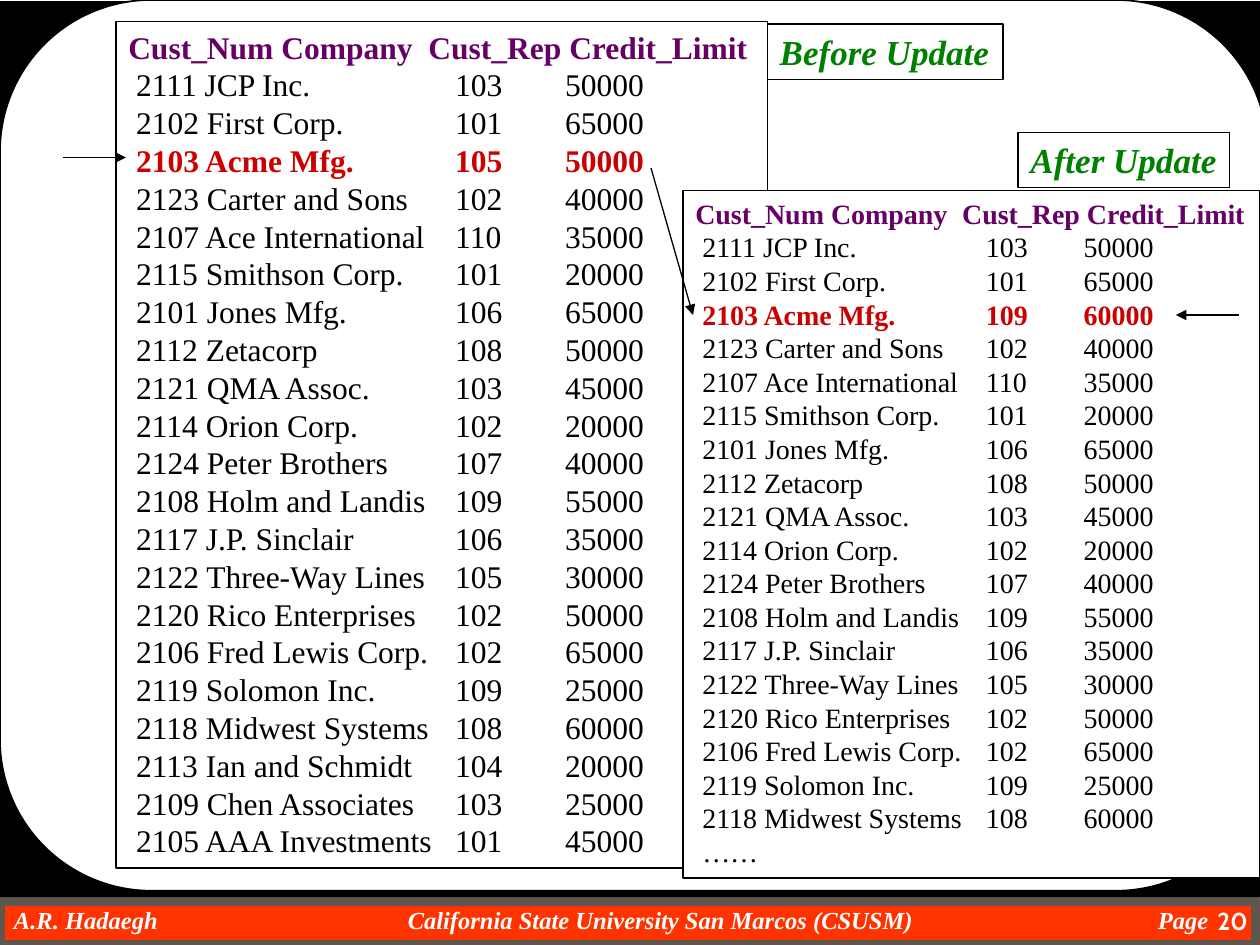
from dataclasses import dataclass

from lxml import etree
from pptx import Presentation
from pptx.dml.color import RGBColor
from pptx.enum.shapes import MSO_CONNECTOR, MSO_SHAPE
from pptx.enum.text import MSO_ANCHOR, PP_ALIGN
from pptx.oxml.ns import qn
from pptx.util import Pt

RECTANGLE = MSO_SHAPE.RECTANGLE
ROUNDED = MSO_SHAPE.ROUNDED_RECTANGLE
STRAIGHT = MSO_CONNECTOR.STRAIGHT
LEFT, RIGHT = PP_ALIGN.LEFT, PP_ALIGN.RIGHT
TOP, MIDDLE = MSO_ANCHOR.TOP, MSO_ANCHOR.MIDDLE


@dataclass(frozen=True)
class Theme:
    black: str = "000000"
    white: str = "FFFFFF"
    footer: str = "FF3300"
    footer_edge: str = "5E574E"
    header: str = "660066"
    changed: str = "CC0000"
    label: str = "008000"
    font: str = "Times New Roman"
    number_font: str = "Cabin"
    footer_size: int = 14
    label_size: int = 20
    before_size: int = 18
    after_size: int = 16


theme = Theme()


def add_box(kind, left, top, width, height, fill, line=None, line_width=0.75):
    shape = slide.shapes.add_shape(kind, Pt(left), Pt(top), Pt(width), Pt(height))
    shape.shadow.inherit = False
    shape.fill.solid()
    shape.fill.fore_color.rgb = RGBColor.from_string(fill)
    if line:
        shape.line.color.rgb = RGBColor.from_string(line)
        shape.line.width = Pt(line_width)
    else:
        shape.line.fill.background()
    return shape


def write(frame, text, size, color, font=theme.font, bold=False, italic=False,
          align=LEFT, anchor=TOP, wrap=True, tabs=(), line_spacing=None):
    """Add a paragraph to the frame, filling the first one if it is empty."""
    frame.word_wrap = wrap
    frame.vertical_anchor = anchor
    paragraph = frame.paragraphs[0] if not frame.text else frame.add_paragraph()
    if tabs:
        tab_list = etree.SubElement(paragraph._p.get_or_add_pPr(), qn("a:tabLst"))
        for position in tabs:
            etree.SubElement(tab_list, qn("a:tab"), pos=str(int(Pt(position))), algn="l")
    paragraph.alignment = align
    if line_spacing:
        paragraph.line_spacing = Pt(line_spacing)
    run = paragraph.add_run()
    run.text = text
    run.font.name = font
    run.font.size = Pt(size)
    run.font.bold = bold
    run.font.italic = italic
    run.font.color.rgb = RGBColor.from_string(color)


presentation = Presentation()
presentation.slide_width, presentation.slide_height = Pt(720), Pt(540)
slide = presentation.slides.add_slide(presentation.slide_layouts[6])

# Footer bar
add_box(RECTANGLE, 0, 514.8, 717.84, 25.2, theme.footer, theme.footer_edge, 6)
footer = slide.shapes.add_textbox(Pt(0), Pt(516.96), Pt(696.96), Pt(16.56)).text_frame
footer.margin_left = Pt(8)
footer.margin_top = footer.margin_right = footer.margin_bottom = 0
write(footer, "A.R. Hadaegh\tCalifornia State University San Marcos (CSUSM)\tPage",
      theme.footer_size, theme.white, bold=True, italic=True, tabs=(225, 653.7))

# Black backdrop with a rounded white panel
add_box(RECTANGLE, 0, 0.72, 720, 511.92, theme.black)
panel = add_box(ROUNDED, 0, 0, 724.32, 509.04, theme.white, theme.black, 1)
panel.adjustments[0] = 0.17

# Page number
number = slide.shapes.add_textbox(Pt(666), Pt(512.64), Pt(54), Pt(27.36)).text_frame
write(number, "20", theme.footer_size, theme.white, font=theme.number_font,
      bold=True, align=RIGHT, anchor=MIDDLE)

# Customer listings before and after the update
before_rows = [
    (2111, "JCP Inc.", 103, 50000),
    (2102, "First Corp.", 101, 65000),
    (2103, "Acme Mfg.", 105, 50000),
    (2123, "Carter and Sons", 102, 40000),
    (2107, "Ace International", 110, 35000),
    (2115, "Smithson Corp.", 101, 20000),
    (2101, "Jones Mfg.", 106, 65000),
    (2112, "Zetacorp", 108, 50000),
    (2121, "QMA Assoc.", 103, 45000),
    (2114, "Orion Corp.", 102, 20000),
    (2124, "Peter Brothers", 107, 40000),
    (2108, "Holm and Landis", 109, 55000),
    (2117, "J.P. Sinclair", 106, 35000),
    (2122, "Three-Way Lines", 105, 30000),
    (2120, "Rico Enterprises", 102, 50000),
    (2106, "Fred Lewis Corp.", 102, 65000),
    (2119, "Solomon Inc.", 109, 25000),
    (2118, "Midwest Systems", 108, 60000),
    (2113, "Ian and Schmidt", 104, 20000),
    (2109, "Chen Associates", 103, 25000),
    (2105, "AAA Investments", 101, 45000),
]
changed_customer = 2103
after_rows = [(customer, company, 109, 60000) if customer == changed_customer
              else (customer, company, representative, limit)
              for customer, company, representative, limit in before_rows[:18]]

listings = [
    (before_rows, "", theme.before_size, (66.24, 12.24, 372.24, 483.84)),
    (after_rows, "……", theme.after_size, (390.24, 108.72, 329.76, 393.12)),
]
for rows, ending, size, place in listings:
    frame = add_box(RECTANGLE, *place, theme.white, theme.black).text_frame
    spacing = 1.2 * size
    row_tabs = [size * stop for stop in (0.25, 10.38, 13.87)]
    write(frame, "Cust_Num Company\tCust_Rep Credit_Limit", size, theme.header,
          bold=True, tabs=[size * 9.53], line_spacing=spacing)
    for customer, company, representative, limit in rows:
        changed = customer == changed_customer
        write(frame, f"\t{customer} {company}\t{representative}\t{limit}", size,
              theme.changed if changed else theme.black, bold=changed,
              tabs=row_tabs, line_spacing=spacing)
    if ending:
        write(frame, f"\t{ending}", size, theme.black, tabs=row_tabs, line_spacing=spacing)

# Listing labels
for text, left, top, width in [("Before Update", 438.48, 13.68, 134.64),
                               ("After Update", 581.76, 75.6, 120.96)]:
    label = add_box(RECTANGLE, left, top, width, 31.68, theme.white, theme.black)
    write(label.text_frame, text, theme.label_size, theme.label,
          bold=True, italic=True, wrap=False)

# Arrows to the changed row
for start_x, start_y, end_x, end_y in [(36, 90, 72, 90), (708, 180, 672, 180),
                                       (372, 96, 396, 180)]:
    arrow = slide.shapes.add_connector(STRAIGHT, Pt(start_x), Pt(start_y),
                                       Pt(end_x), Pt(end_y))
    arrow.line.color.rgb = RGBColor.from_string(theme.black)
    arrow.line.width = Pt(0.75)
    etree.SubElement(arrow.line._get_or_add_ln(), qn("a:tailEnd"), type="triangle")
    etree.SubElement(arrow._element.spPr, qn("a:effectLst"))

presentation.save("out.pptx")
